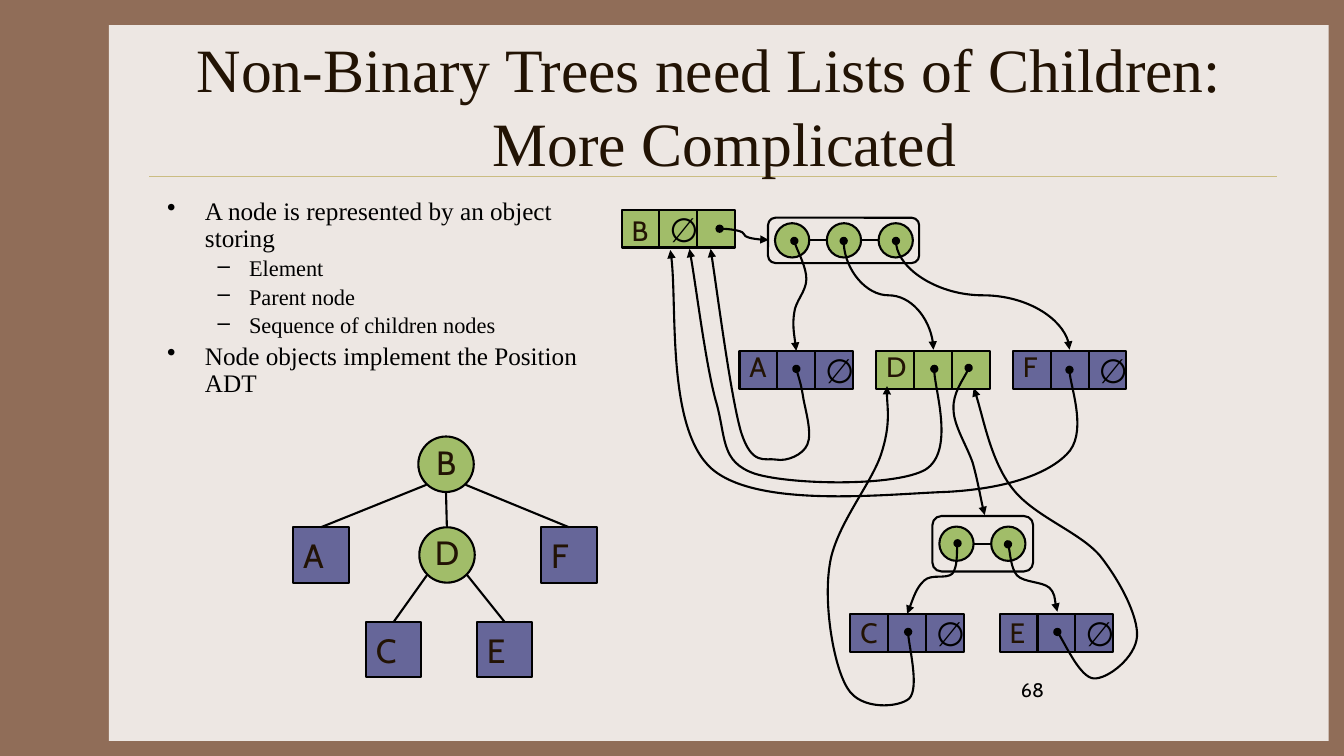
from lxml.etree import SubElement
from pptx import Presentation
from pptx.dml.color import RGBColor
from pptx.enum.shapes import MSO_CONNECTOR, MSO_SHAPE
from pptx.enum.text import MSO_ANCHOR, PP_ALIGN
from pptx.oxml.ns import qn
from pptx.util import Pt

GREEN, VIOLET, BLACK, BROWN = "A1BD69", "666699", "000000", "221304"
SERIF, SANS = "Times New Roman", "Cabin"
CELL, TREE_SIZE, DOT = 27, 39.6, 24.5

# Pointer curves: start point, then three Bezier points per segment
POINTERS = [
    # A, D and F to their parent B
    [(568.8, 263.5), (569.5, 266.4), (572.4, 275), (573.8, 284.4),
     (575.3, 293), (580.3, 309.6), (576.7, 317.5), (573.8, 324.7), (562.3, 329.8), (554.4, 328.3),
     (546.5, 326.9), (537.1, 333.4), (529.2, 308.2), (522, 283), (511.9, 205.2), (507.6, 177.8)],
    [(667.4, 263.5), (666.7, 275), (681.8, 322.6), (661, 335.5),
     (639.4, 347.8), (564.5, 346.3), (539.3, 338.4), (514.1, 329.8), (519.1, 312.5), (511.2, 285.8),
     (504, 259.2), (496.8, 200.2), (492.5, 177.8)],
    [(763.9, 264.2), (763.9, 274.3), (776.9, 310.3), (761.8, 324.7),
     (747.4, 339.1), (717.8, 349.2), (676.1, 351.4), (633.6, 352.8), (541.4, 363.6), (508.3, 334.8),
     (475.9, 306), (484.6, 211), (478.8, 178.6)],
    # D to its list of children
    [(691.9, 262.8), (690.5, 267.8), (680.4, 280.8), (681.1, 292.3),
     (681.1, 303.8), (690.5, 318.2), (694.8, 330.5), (698.4, 343.4), (701.3, 360.7), (703.4, 367.9)],
    # List entries to E, C and A
    [(720, 388.8), (721.4, 392.4), (722.2, 406.1), (726.5, 411.1),
     (731.5, 416.2), (744.5, 415.4), (749.5, 419.8), (753.8, 424.1), (753.8, 433.4), (755.3, 437)],
    [(684, 388.1), (683.3, 391.7), (684, 404.6), (680.4, 409.7),
     (676.1, 414), (665.3, 409.7), (660.2, 414.7), (654.5, 419.8), (650.2, 433.4), (648, 438.5)],
    [(567.4, 172.1), (568.1, 176.4), (576, 190.8), (576, 199.4),
     (576, 208.1), (568.1, 215.3), (567.4, 223.2), (565.9, 231.8), (568.1, 244.8), (568.8, 250.6)],
    # C and E to their parent D
    [(648.7, 451.4), (648.7, 459.4), (656.6, 491.8), (649.4, 499),
     (642.2, 505.4), (614.9, 507.6), (605.5, 491.8), (595.4, 475.9), (588.2, 432), (592.6, 403.9),
     (596.2, 376.6), (622.1, 346.3), (629.3, 324.7), (636.5, 303.1), (632.9, 285.8), (633.6, 275.8)],
    [(755.3, 451.4), (759.6, 457.2), (771.8, 483.8), (781.2, 484.6),
     (791.3, 485.3), (811.4, 469.4), (812.2, 454.3), (812.9, 439.9), (799.9, 414.7), (785.5, 396.7),
     (770.4, 379.4), (738, 368.6), (722.9, 348.5), (707.8, 329), (701.3, 292.3), (695.5, 277.2)],
]


def paint(color_format_owner, color):
    color_format_owner.solid()
    color_format_owner.fore_color.rgb = RGBColor.from_string(color)


def style_text(paragraph, size, font, color):
    for run in paragraph.runs:
        run.font.size = Pt(size)
        run.font.name = font
        paint(run.font.fill, color)


def add_box(slide, preset, left, top, width, height, fill=None, outline=BLACK):
    box = slide.shapes.add_shape(preset, Pt(left), Pt(top), Pt(width), Pt(height))
    box.shadow.inherit = False
    if fill:
        paint(box.fill, fill)
    else:
        box.fill.background()
    if outline:
        paint(box.line.fill, outline)
        box.line.width = Pt(1.5)
    else:
        box.line.fill.background()
    return box


def add_label(box, text, color, align=PP_ALIGN.LEFT):
    frame = box.text_frame
    frame.text = text
    frame.word_wrap = False
    frame.vertical_anchor = MSO_ANCHOR.MIDDLE
    frame.paragraphs[0].alignment = align
    style_text(frame.paragraphs[0], 24, SANS, color)


def add_text(slide, left, top, width, height, text, size, font, color, wrap=True):
    frame = slide.shapes.add_textbox(Pt(left), Pt(top), Pt(width), Pt(height)).text_frame
    frame.word_wrap = wrap
    frame.text = text
    style_text(frame.paragraphs[0], size, font, color)
    return frame


def add_line(slide, start, end, kind=MSO_CONNECTOR.STRAIGHT, color=BLACK, width=1.5):
    line = slide.shapes.add_connector(kind, *(Pt(v) for v in (*start, *end)))
    paint(line.line.fill, color)
    line.line.width = Pt(width)
    SubElement(line._element.spPr, qn("a:effectLst"))
    return line


def add_pointer_ends(line):
    ln = line._element.spPr.find(qn("a:ln"))
    SubElement(ln, qn("a:headEnd"), type="oval")
    SubElement(ln, qn("a:tailEnd"), type="triangle")


def add_downward_link(slide, start, end):
    """S-curve that leaves and arrives vertically: a sideways one, turned."""
    (x1, y1), (x2, y2) = start, end
    mid_x, mid_y = (x1 + x2) / 2, (y1 + y2) / 2
    half_w, half_h = (y2 - y1) / 2, (x2 - x1) / 2
    link = add_line(slide, (mid_x + half_w, mid_y - half_h), (mid_x - half_w, mid_y + half_h),
                    MSO_CONNECTOR.CURVE)
    link._element.spPr.find(qn("a:xfrm")).set("rot", str(270 * 60000))
    add_pointer_ends(link)


def add_pointer(slide, points):
    start, *rest = [(Pt(x), Pt(y)) for x, y in points]
    builder = slide.shapes.build_freeform(*start, scale=1.0)
    builder.add_line_segments(rest, close=False)
    pointer = builder.convert_to_shape()
    pointer.shadow.inherit = False
    pointer.fill.background()
    paint(pointer.line.fill, BLACK)
    pointer.line.width = Pt(1.5)
    add_pointer_ends(pointer)
    # Join every three straight steps into one Bezier segment
    outline = next(pointer._element.iter(qn("a:moveTo"))).getparent()
    steps = outline.findall(qn("a:lnTo"))
    for i in range(0, len(steps), 3):
        bezier = SubElement(outline, qn("a:cubicBezTo"))
        for step in steps[i:i + 3]:
            bezier.append(step[0])
            outline.remove(step)


def add_node(slide, letter, left, top, fill, letter_rise, null_cell=None):
    for i in range(3):
        cell = add_box(slide, MSO_SHAPE.RECTANGLE, left + i * CELL, top, CELL, CELL, fill)
        if i == null_cell:
            add_label(cell, "∅", BLACK)
    add_text(slide, left, top - letter_rise, 26, 31, letter, 20, SANS, BROWN, wrap=False)


def add_child_list(slide, left, top, width, height, count):
    add_box(slide, MSO_SHAPE.ROUNDED_RECTANGLE, left, top, width, height)
    first, step, middle = left + 5, 37, top + height / 2
    add_line(slide, (first + DOT, middle), (first + (count - 1) * step, middle))
    for i in range(count):
        add_box(slide, MSO_SHAPE.OVAL, first + i * step, middle - DOT / 2, DOT, DOT, GREEN)


def add_tree_circle(slide, letter, left, top):
    circle = add_box(slide, MSO_SHAPE.OVAL, left, top, TREE_SIZE, TREE_SIZE, GREEN)
    add_label(circle, letter, BROWN, PP_ALIGN.CENTER)
    frame = circle.text_frame
    frame.margin_left = frame.margin_right = frame.margin_top = 0
    frame.margin_bottom = Pt(3.6)


def add_tree_leaf(slide, letter, left, top, parent_point):
    leaf = add_box(slide, MSO_SHAPE.RECTANGLE, left, top, TREE_SIZE, TREE_SIZE, VIOLET)
    add_label(leaf, letter, BROWN)
    branch = add_line(slide, parent_point, (left + TREE_SIZE / 2, top))
    branch.end_connect(leaf, 0)


def add_bullets(slide, items):
    frame = add_text(slide, 112.3, 138.2, 313.2, 324, "", 18, SERIF, BLACK)
    for i, (level, text) in enumerate(items):
        paragraph = frame.paragraphs[0] if i == 0 else frame.add_paragraph()
        paragraph.text = text
        paragraph.level = level
        size, margin, hang, mark = [(18, 27, 27, "•"), (16, 58.5, 22.5, "–")][level]
        props = paragraph._p.get_or_add_pPr()
        props.set("marL", str(Pt(margin)))
        props.set("indent", str(-Pt(hang)))
        SubElement(props, qn("a:buChar"), char=mark)
        paragraph.line_spacing = 0.9
        paragraph.space_before = Pt(0.2 * size if i else 0)
        style_text(paragraph, size, SERIF, BLACK)


def main():
    prs = Presentation()
    prs.slide_width, prs.slide_height = Pt(960), Pt(540)
    slide = prs.slides.add_slide(prs.slide_layouts[6])

    # Backdrop, title and bullets
    paint(slide.background.fill, "906D58")
    add_box(slide, MSO_SHAPE.RECTANGLE, 77.8, 18, 871.2, 511.2, "EDE7E3", outline=None)
    add_line(slide, (106.6, 126), (912.2, 126), color="CBBD83", width=0.25)
    title = add_text(slide, 112.3, 30.2, 800, 90,
                     "Non-Binary Trees need Lists of Children: \v More Complicated", 44, SERIF, BROWN)
    title.vertical_anchor = MSO_ANCHOR.MIDDLE
    title.paragraphs[0].alignment = PP_ALIGN.CENTER
    add_bullets(slide, [(0, "A node is represented by an object storing"), (1, "Element"),
                        (1, "Parent node"), (1, "Sequence of children nodes"),
                        (0, "Node objects implement the Position ADT")])
    add_text(slide, 722.2, 481, 200, 36, "68", 14, SANS, BLACK)

    # Tree
    add_tree_circle(slide, "B", 298.8, 311.8)
    add_tree_circle(slide, "D", 299.5, 376.6)
    add_line(slide, (318.6, 352), (319.2, 376))
    for letter, left, top, parent_point in [
            ("A", 209.5, 376.6, (304.6, 346.3)), ("F", 386.6, 376.6, (332.6, 346.3)),
            ("C", 261.4, 444.2, (305.3, 410.4)), ("E", 340.6, 444.2, (333.4, 410.4))]:
        add_tree_leaf(slide, letter, left, top, parent_point)

    # Linked node objects and lists of children
    add_child_list(slide, 548.6, 155.5, 108, 32.4, 3)
    add_child_list(slide, 666, 368.6, 72, 39.6, 2)
    add_node(slide, "B", 444, 149.8, GREEN, 0.8, null_cell=1)
    add_node(slide, "A", 528.2, 250.6, VIOLET, 4.4, null_cell=2)
    add_node(slide, "D", 625.9, 250.6, GREEN, 4.4)
    add_node(slide, "F", 723.6, 250.6, VIOLET, 4.4, null_cell=2)
    add_node(slide, "C", 607.4, 438.5, VIOLET, 2.2, null_cell=2)
    add_node(slide, "E", 714.1, 438.5, VIOLET, 2.2, null_cell=2)

    # Pointers
    add_pointer_ends(add_line(slide, (514, 163.4), (549, 171.4), MSO_CONNECTOR.CURVE))
    add_downward_link(slide, (602.6, 172.1), (666.7, 249.8))
    add_downward_link(slide, (640, 172.1), (764, 249.8))
    for points in POINTERS:
        add_pointer(slide, points)

    prs.save("out.pptx")


if __name__ == "__main__":
    main()
